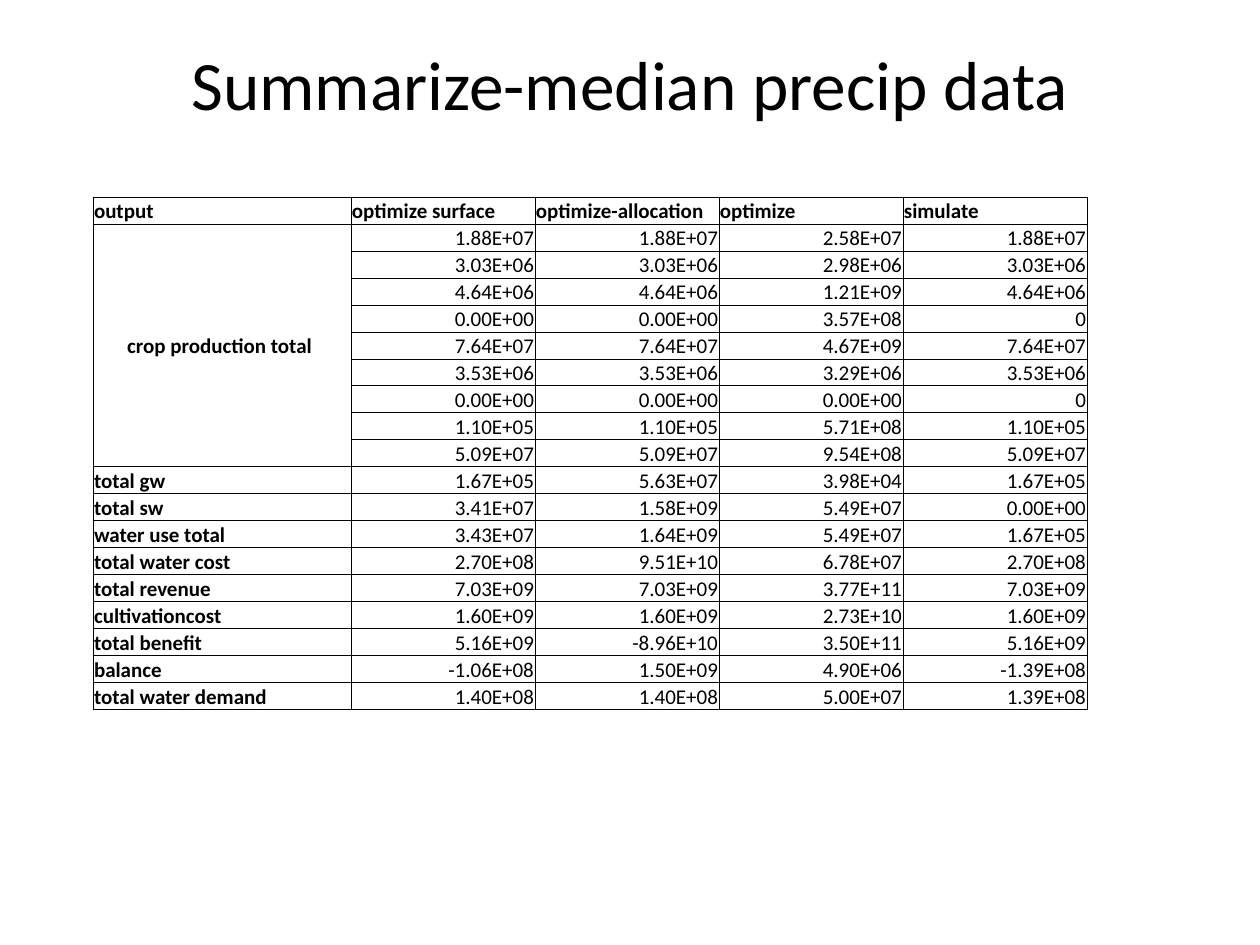
from pptx import Presentation
from pptx.dml.color import RGBColor
from pptx.enum.text import MSO_ANCHOR as Anchor, PP_ALIGN as Align
from pptx.oxml import parse_xml
from pptx.oxml.ns import nsdecls
from pptx.util import Pt

PX = 914400 // 126
FONT = "Calibri"
BLACK = "000000"
COLS = [258, 184, 184, 184, 184]
ROW = 27
HEAD = ["output", "optimize surface", "optimize-allocation", "optimize", "simulate"]
CROP = "crop production total "

# Each group: row label and its rows of values
DATA = [
    (CROP, [
        "1.88E+07 1.88E+07 2.58E+07 1.88E+07",
        "3.03E+06 3.03E+06 2.98E+06 3.03E+06",
        "4.64E+06 4.64E+06 1.21E+09 4.64E+06",
        "0.00E+00 0.00E+00 3.57E+08 0",
        "7.64E+07 7.64E+07 4.67E+09 7.64E+07",
        "3.53E+06 3.53E+06 3.29E+06 3.53E+06",
        "0.00E+00 0.00E+00 0.00E+00 0",
        "1.10E+05 1.10E+05 5.71E+08 1.10E+05",
        "5.09E+07 5.09E+07 9.54E+08 5.09E+07",
    ]),
    ("total gw", ["1.67E+05 5.63E+07 3.98E+04 1.67E+05"]),
    ("total sw", ["3.41E+07 1.58E+09 5.49E+07 0.00E+00"]),
    ("water use total", ["3.43E+07 1.64E+09 5.49E+07 1.67E+05"]),
    ("total water cost", ["2.70E+08 9.51E+10 6.78E+07 2.70E+08"]),
    ("total revenue", ["7.03E+09 7.03E+09 3.77E+11 7.03E+09"]),
    ("cultivationcost", ["1.60E+09 1.60E+09 2.73E+10 1.60E+09"]),
    ("total benefit", ["5.16E+09 -8.96E+10 3.50E+11 5.16E+09"]),
    ("balance", ["-1.06E+08 1.50E+09 4.90E+06 -1.39E+08"]),
    ("total water demand", ["1.40E+08 1.40E+08 5.00E+07 1.39E+08"]),
]


def px(*vals):
    return [val * PX for val in vals]


def color(text):
    return RGBColor.from_string(text)


def add_run(par, text, size, bold=False):
    run = par.add_run()
    run.text = text
    font = run.font
    font.name, font.size, font.bold = FONT, Pt(size), bold
    font.color.rgb = color(BLACK)


def add_title(slide, text):
    frame = slide.shapes.add_textbox(*px(63, 38, 1134, 89)).text_frame
    frame.word_wrap = True
    frame.vertical_anchor = Anchor.MIDDLE
    par = frame.paragraphs[0]
    par.alignment = Align.CENTER
    add_run(par, text, 39.6)


def style_cell(cell):
    # Thin black border on all sides, no fill, tight margins
    props = cell._tc.get_or_add_tcPr()
    for side in "LRTB":
        props.append(parse_xml(
            f'<a:ln{side} {nsdecls("a")} w="6350"><a:solidFill>'
            f'<a:srgbClr val="{BLACK}"/></a:solidFill></a:ln{side}>'))
    cell.fill.background()
    cell.margin_left = cell.margin_right = cell.margin_top = PX
    cell.margin_bottom = 0
    cell.vertical_anchor = Anchor.BOTTOM


def set_cell(cell, text, align=Align.LEFT, bold=False):
    par = cell.text_frame.paragraphs[0]
    par.alignment = align
    add_run(par, text, 12, bold)


def add_grid(slide):
    count = 1 + sum(len(rows) for _, rows in DATA)
    spot = px(93, 197, sum(COLS), ROW * count)
    grid = slide.shapes.add_table(count, len(COLS), *spot).table
    grid.first_row = grid.horz_banding = False
    for col, width in zip(grid.columns, COLS):
        col.width = width * PX
    for row in grid.rows:
        row.height = ROW * PX
    for cell in grid.iter_cells():
        style_cell(cell)

    # Header row
    for col, text in enumerate(HEAD):
        set_cell(grid.cell(0, col), text, bold=True)

    # Labels and values; a label with several rows spans them all
    top = 1
    for label, rows in DATA:
        cell = grid.cell(top, 0)
        tall = len(rows) > 1
        if tall:
            cell.merge(grid.cell(top + len(rows) - 1, 0))
            cell.vertical_anchor = Anchor.MIDDLE
        set_cell(cell, label, Align.CENTER if tall else Align.LEFT, True)
        for row, vals in enumerate(rows, top):
            for col, val in enumerate(vals.split(), 1):
                set_cell(grid.cell(row, col), val, Align.RIGHT)
        top += len(rows)


def main():
    deck = Presentation()
    deck.slide_width, deck.slide_height = px(1260, 945)
    slide = deck.slides.add_slide(deck.slide_layouts[6])
    add_title(slide, "Summarize-median precip data")
    add_grid(slide)
    deck.save("out.pptx")


if __name__ == "__main__":
    main()
